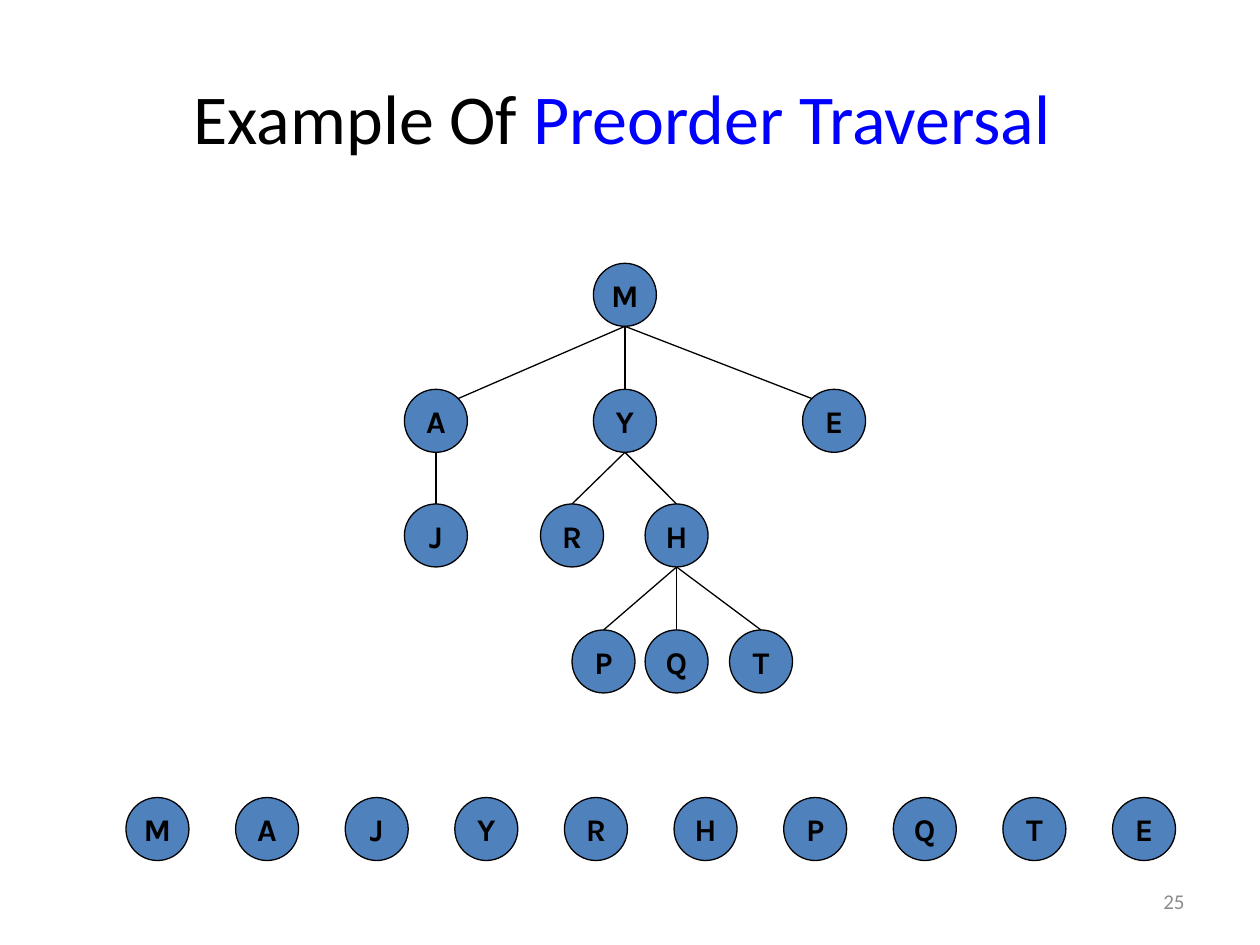
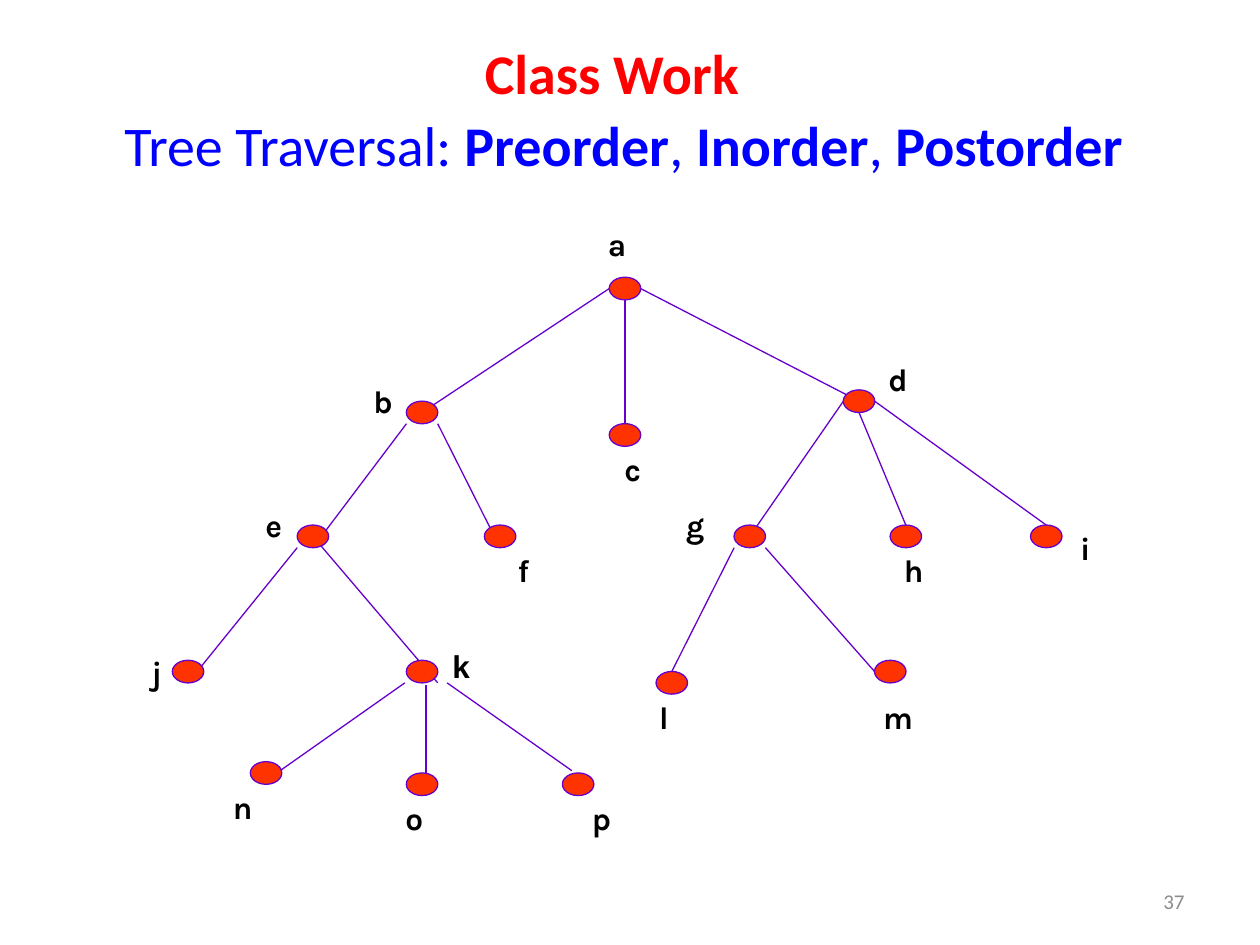
from lxml.etree import SubElement
from pptx import Presentation
from pptx.dml.color import RGBColor
from pptx.enum.shapes import MSO_CONNECTOR, MSO_SHAPE
from pptx.enum.text import MSO_ANCHOR, PP_ALIGN
from pptx.oxml.ns import qn
from pptx.util import Inches, Pt

# Shared look
WIDTH, HEIGHT = 10, 7.5
BLACK, BLUE, RED, GREY = "000000", "0000FF", "FF0000", "8C8C8C"
NODE_FILL, DOT_FILL, DOT_LINE = "4F81BD", "FF3300", "6600CC"
TITLE = {"name": "Calibri", "size": 40, "color": BLACK}
SUBTITLE = {**TITLE, "size": 32, "color": BLUE}
FOOTER = {"name": "Calibri", "size": 12, "color": GREY}
LETTER = {"name": "Karla", "size": 18, "bold": True, "color": BLACK}
NUMBER_PLACE = (7.17, 6.95, 2.33, 0.4)

# Slide 1: each node's centre across the slide, its level, and its children
PREORDER_TITLE = [("Example Of ", {}), ("Preorder Traversal ", {"color": BLUE})]
NODES = {
    "M": (4.96, 0, "AYE"), "A": (3.46, 1, "J"), "Y": (4.96, 1, "RH"),
    "E": (6.62, 1, ""), "J": (3.46, 2, ""), "R": (4.54, 2, ""),
    "H": (5.37, 2, "PQT"), "P": (4.79, 3, ""), "Q": (5.37, 3, ""),
    "T": (6.04, 3, ""),
}
LEVEL_TOPS = [2.09, 3.09, 4, 5]
NODE_SIZE = 0.5
VISIT_LEFT, VISIT_TOP, VISIT_STEP = 1, 6.33, 0.87

# Slide 2: dot centres in grid steps from the root, then the label's offset
CLASS_WORK_TITLE = [
    ("Tree Traversal: ", {}), ("Preorder", {"bold": True}), (", ", {}),
    ("Inorder", {"bold": True}), (", ", {}), ("Postorder ", {"bold": True}),
]
DOTS = {
    "a": ((0, 0), (-0.5, -4)), "b": ((-13, 11), (-2.5, -1)),
    "c": ((0, 13), (0.5, 3)), "d": ((15, 10), (2.5, -2)),
    "e": ((-20, 22), (-2.5, -1)), "f": ((-8, 22), (1.5, 3)),
    "g": ((8, 22), (-3.5, -1)), "h": ((18, 22), (0.5, 3)),
    "i": ((27, 22), (2.5, 1)), "j": ((-28, 34), (-2, 0)),
    "k": ((-13, 34), (2.5, -0.5)), "l": ((3, 35), (-0.5, 3)),
    "m": ((17, 34), (0.5, 4)), "n": ((-23, 43), (-1.5, 3)),
    "o": ((-13, 44), (-0.5, 3)), "p": ((-3, 44), (1.5, 3)),
}
# Parent and child, with the line's offset from each dot's centre
BRANCHES = [
    ("ab", (-1, 0), (0, 0)), ("ac", (0, 1), (0, -1)), ("ad", (1, 0), (0, 0)),
    ("be", (-1, 1), (0, 1)), ("bf", (1, 1), (0, 1)),
    ("dg", (-1, 0), (0, 0)), ("dh", (0, 1), (0, -1)), ("di", (1, 0), (0, -1)),
    ("ej", (-1, 1), (0, 1)), ("ek", (0, 0), (1, 1)),
    ("gl", (-1, 1), (0, -1)), ("gm", (1, 1), (-1, 0)),
    ("kn", (-1.1, 1), (0.9, -0.2)), ("ko", (0.25, 1.2), (0.25, -1)),
    ("kp", (1.6, 1), (-0.4, -1.2)),
]
ROOT = (4.96, 2.29)
COLUMN, ROW = 1.61 / 13, 3.04 / 34
DOT_SIZE = (0.25, 0.18)
LABEL_SIZE = (1.11, 0.36)


def color(value):
    return RGBColor.from_string(value)


def write(shape, spans, style, align=PP_ALIGN.CENTER, anchor=MSO_ANCHOR.MIDDLE, wrap=True):
    frame = shape.text_frame
    frame.word_wrap, frame.vertical_anchor = wrap, anchor
    para = frame.paragraphs[0]
    para.alignment = align
    for text, changes in spans:
        span = para.add_run()
        span.text = text
        for key, value in {**style, **changes}.items():
            if key == "color":
                span.font.color.rgb = color(value)
            else:
                setattr(span.font, key, Pt(value) if key == "size" else value)


def add_text(page, place, spans, style, **layout):
    box = page.shapes.add_textbox(*map(Inches, place))
    write(box, spans, style, **layout)


def add_ellipse(page, place, fill, outline):
    shape = page.shapes.add_shape(MSO_SHAPE.OVAL, *map(Inches, place))
    shape.shadow.inherit = False
    shape.fill.solid()
    shape.fill.fore_color.rgb = color(fill)
    shape.line.color.rgb = color(outline)
    shape.line.width = Pt(0.75)
    return shape


def add_line(page, start, end, outline):
    line = page.shapes.add_connector(MSO_CONNECTOR.STRAIGHT, *map(Inches, (*start, *end)))
    line.line.color.rgb = color(outline)
    line.line.width = Pt(0.75)
    SubElement(line._element.spPr, qn("a:effectLst"))
    return line


def add_page(deck, number, title, place, style):
    page = deck.slides.add_slide(deck.slide_layouts[6])
    add_text(page, place, title, style)
    add_text(page, NUMBER_PLACE, [(number, {})], FOOTER, align=PP_ALIGN.RIGHT)
    return page


def centred(centre, size):
    return centre[0] - size[0] / 2, centre[1] - size[1] / 2, *size


def preorder(name):
    return name + "".join(preorder(child) for child in NODES[name][2])


def add_node(page, name, left, top):
    node = add_ellipse(page, (left, top, NODE_SIZE, NODE_SIZE), NODE_FILL, BLACK)
    write(node, [(name, {})], LETTER, wrap=False)
    return node


def add_preorder_page(deck):
    page = add_page(deck, "25", PREORDER_TITLE, (0.5, 0.3, 9, 1.25), TITLE)
    # Visited nodes in a row, then the tree
    for index, name in enumerate(preorder("M")):
        add_node(page, name, VISIT_LEFT + index * VISIT_STEP, VISIT_TOP)
    shapes = {name: add_node(page, name, x - NODE_SIZE / 2, LEVEL_TOPS[level])
              for name, (x, level, _) in NODES.items()}
    # Lines drop to a child's top; far children are met on the rim
    diagonal = NODE_SIZE / 2 * 0.5 ** 0.5
    for x, level, children in NODES.values():
        for child in children:
            child_x, child_level, _ = NODES[child]
            top, gap = LEVEL_TOPS[child_level], child_x - x
            start = (x, LEVEL_TOPS[level] + NODE_SIZE)
            if abs(gap) > 1:
                side = -1 if gap > 0 else 1
                rim = (child_x + side * diagonal, top + NODE_SIZE / 2 - diagonal)
                add_line(page, start, rim, BLACK)
            else:
                add_line(page, start, (child_x, top), BLACK).end_connect(shapes[child], 0)


def grid_point(name, offset=(0, 0)):
    (column, row), _ = DOTS[name]
    return ROOT[0] + (column + offset[0]) * COLUMN, ROOT[1] + (row + offset[1]) * ROW


def add_class_work_page(deck):
    page = add_page(deck, "37", CLASS_WORK_TITLE, (0.5, 0.63, 9, 1.03), SUBTITLE)
    add_text(page, (3.75, 0.26, 2.24, 0.64), [("Class Work", {"color": RED, "bold": True})],
             SUBTITLE, align=PP_ALIGN.LEFT, anchor=MSO_ANCHOR.TOP, wrap=False)
    # Branches lie under the dots
    for (parent, child), start, end in BRANCHES:
        add_line(page, grid_point(parent, start), grid_point(child, end), DOT_LINE)
    for name, (_, offset) in DOTS.items():
        add_ellipse(page, centred(grid_point(name), DOT_SIZE), DOT_FILL, DOT_LINE)
        changes = {"name": "Arial"} if name == "k" else {}
        add_text(page, centred(grid_point(name, offset), LABEL_SIZE), [(name, changes)],
                 LETTER, wrap=False)


def main():
    deck = Presentation()
    deck.slide_width, deck.slide_height = Inches(WIDTH), Inches(HEIGHT)
    add_preorder_page(deck)
    add_class_work_page(deck)
    deck.save("out.pptx")


if __name__ == "__main__":
    main()
